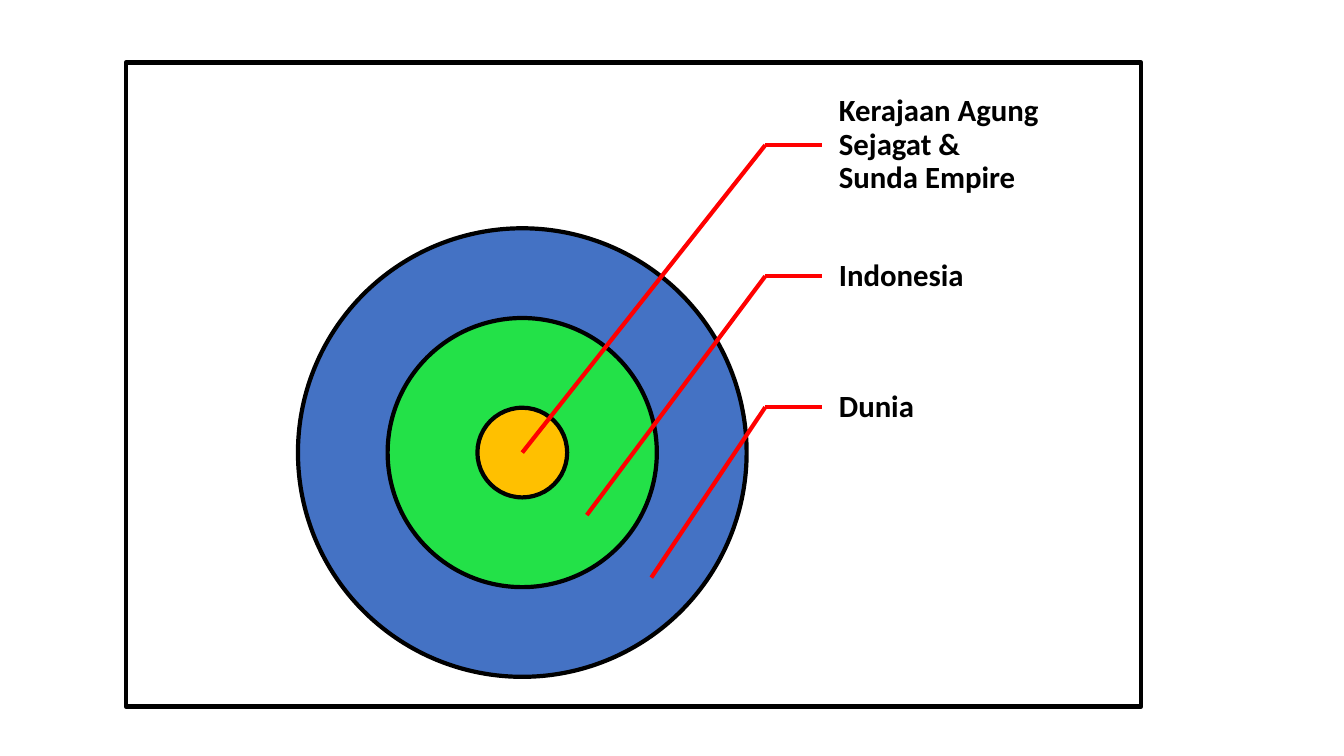
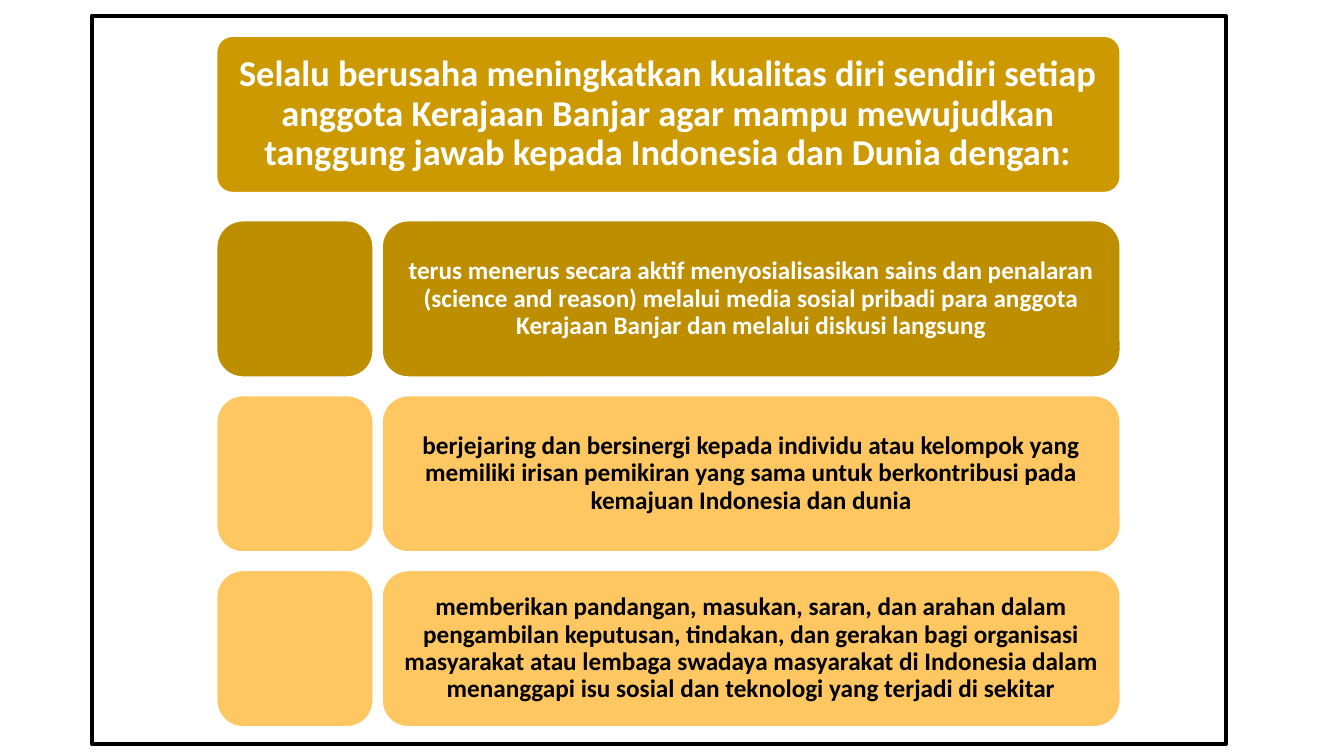
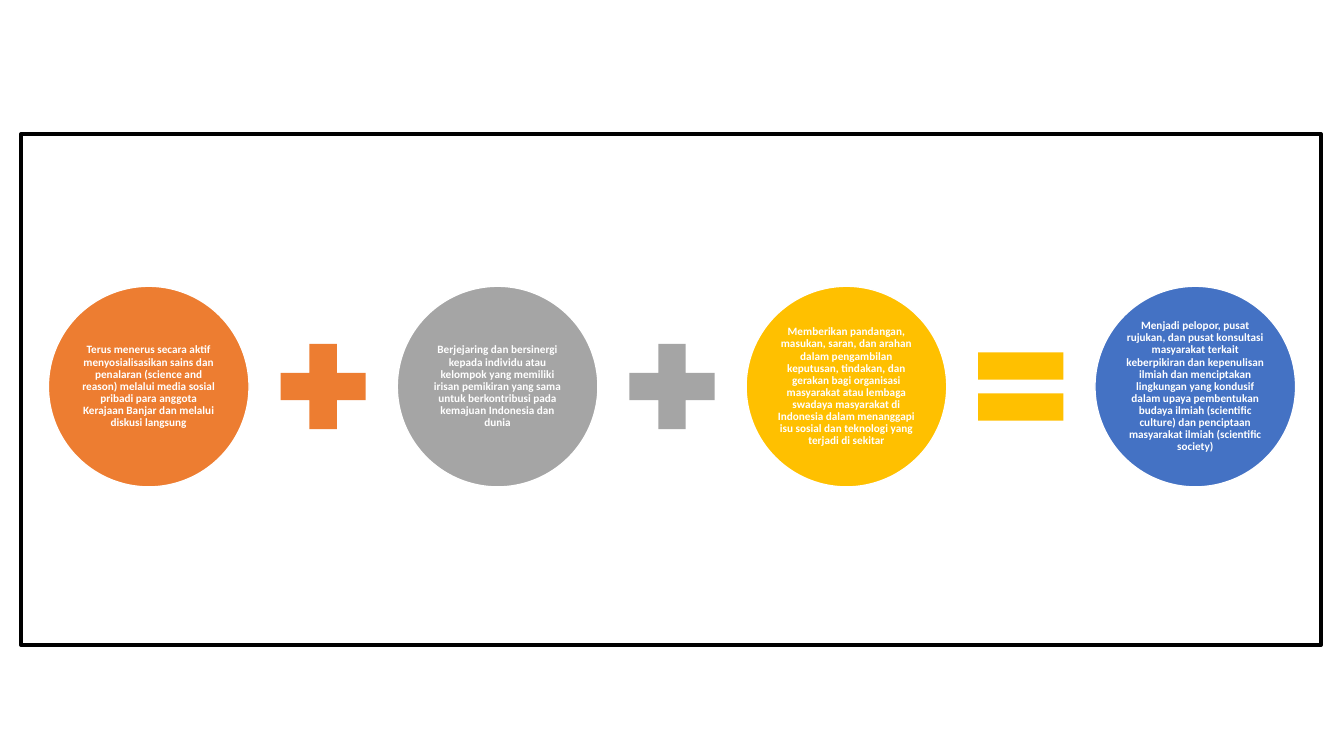
from lxml import etree
from pptx import Presentation
from pptx import util as u
from pptx.dml.color import RGBColor
from pptx.enum import shapes, text
from pptx.oxml.ns import qn

BLACK = RGBColor(0x00, 0x00, 0x00)
WHITE = RGBColor(0xFF, 0xFF, 0xFF)
RED = RGBColor(0xFF, 0x00, 0x00)
BLUE = RGBColor(0x44, 0x72, 0xC4)
GREEN = RGBColor(0x23, 0xE1, 0x48)
AMBER = RGBColor(0xFF, 0xC0, 0x00)
ORANGE = RGBColor(0xED, 0x7D, 0x31)
GRAY = RGBColor(0xA5, 0xA5, 0xA5)
GOLD = RGBColor(0xCC, 0x9A, 0x00)
DARK_GOLD = RGBColor(0xBD, 0x8E, 0x00)
LIGHT_GOLD = RGBColor(0xFF, 0xC7, 0x62)
FONT = "Calibri"
SHAPE = shapes.MSO_SHAPE
ALIGN = text.PP_ALIGN

RINGS = [(5, BLUE), (3, GREEN), (1, AMBER)]
LABELS = ["Kerajaan Agung Sejagat & Sunda Empire", "Indonesia", "Dunia"]

HEADING = ("Selalu berusaha meningkatkan kualitas diri sendiri setiap anggota Kerajaan Banjar "
           "agar mampu mewujudkan tanggung jawab kepada Indonesia dan Dunia dengan:")
ACTIONS = [
    "terus menerus secara aktif menyosialisasikan sains dan penalaran (science and reason) "
    "melalui media sosial pribadi para anggota Kerajaan Banjar dan melalui diskusi langsung",
    "berjejaring dan bersinergi kepada individu atau kelompok yang memiliki irisan pemikiran "
    "yang sama untuk berkontribusi pada kemajuan Indonesia dan dunia",
    "memberikan pandangan, masukan, saran, dan arahan dalam pengambilan keputusan, tindakan, "
    "dan gerakan bagi organisasi masyarakat atau lembaga swadaya masyarakat di Indonesia dalam "
    "menanggapi isu sosial dan teknologi yang terjadi di sekitar",
]
ROW_COLORS = [(DARK_GOLD, WHITE), (LIGHT_GOLD, BLACK), (LIGHT_GOLD, BLACK)]

GOAL = ("Menjadi pelopor, pusat rujukan, dan pusat konsultasi masyarakat terkait keberpikiran "
        "dan kepenulisan ilmiah dan menciptakan lingkungan yang kondusif dalam upaya pembentukan "
        "budaya ilmiah (scientific culture) dan penciptaan masyarakat ilmiah (scientific society)")
TERMS = [a[0].upper() + a[1:] for a in ACTIONS] + [GOAL]
TERM_COLORS = [ORANGE, GRAY, AMBER, BLUE]
OPERATORS = [SHAPE.MATH_PLUS, SHAPE.MATH_PLUS, SHAPE.MATH_EQUAL]


def inches(*values):
    return [u.Inches(v) for v in values]


def put_text(sp, words, size, color, insets, align=ALIGN.CENTER):
    tf = sp.text_frame
    names = ("margin_left", "margin_top", "margin_right", "margin_bottom")
    frame_format = dict(zip(names, inches(*insets)), word_wrap=True,
                        vertical_anchor=text.MSO_ANCHOR.MIDDLE)
    for name, value in frame_format.items():
        setattr(tf, name, value)
    p = tf.paragraphs[0]
    p.alignment, p.line_spacing = align, 0.9
    r = p.add_run()
    r.text = words
    for name, value in {"name": FONT, "size": u.Pt(size), "bold": True}.items():
        setattr(r.font, name, value)
    r.font.color.rgb = color


def add_shape(s, kind, box, fill=None, line=None, width=1, adj=None):
    sp = s.shapes.add_shape(kind, *inches(*box))
    sp.shadow.inherit = False
    for part, color in ((sp.fill, fill), (sp.line.fill, line)):
        if color is None:
            part.background()
        else:
            part.solid()
            part.fore_color.rgb = color
    if line is not None:
        sp.line.width = u.Pt(width)
    if adj is not None:
        sp.adjustments[0] = adj
    return sp


def add_frame(s, box):
    add_shape(s, SHAPE.RECTANGLE, box, line=BLACK, width=3)


def add_leader(s, start, end):
    c = s.shapes.add_connector(shapes.MSO_CONNECTOR.STRAIGHT, *inches(*start, *end))
    c.line.color.rgb = RED
    c.line.width = u.Pt(3)
    etree.SubElement(c._element.spPr, qn("a:effectLst"))


def build_rings(s):
    add_frame(s, (1.25, 0.62, 10.07, 6.39))
    cx, cy, unit = 5.18, 4.49, 0.89
    for scale, color in RINGS:
        d = unit * scale
        add_shape(s, SHAPE.OVAL, (cx - d / 2, cy - d / 2, d, d), color, BLACK, 3)
    bend, label_left, label_height = 7.59, 8.15, 1.3
    for i, label in enumerate(LABELS):
        y = 1.44 + label_height * i
        tb = s.shapes.add_textbox(*inches(label_left, y - label_height / 2, 2.22, label_height))
        put_text(tb, label, 22, BLACK, (0.17, 0.03, 0.03, 0.03), ALIGN.LEFT)
        add_leader(s, (bend, y), (label_left, y))
        add_leader(s, (bend, y), (cx + 0.64 * i, cy + 0.62 * i))


def build_actions(s):
    left, width, size, gap = 2.15, 8.96, 1.55, 0.09
    sp = add_shape(s, SHAPE.ROUNDED_RECTANGLE, (left, 0.36, width, size), GOLD, WHITE, adj=0.1)
    put_text(sp, HEADING, 26, WHITE, (0.05, 0.04, 0.05, 0.04))
    for i, (words, (fill, color)) in enumerate(zip(ACTIONS, ROW_COLORS)):
        y = 2.19 + 1.735 * i
        offset = size + gap
        for x, w in ((left, size), (left + offset, width - offset)):
            sp = add_shape(s, SHAPE.ROUNDED_RECTANGLE, (x, y, w, size), fill, WHITE, adj=0.167)
        put_text(sp, words, 18, color, (0.14,) * 4)
    add_frame(s, (0.91, 0.16, 11.25, 7.22))


def build_equation(s):
    left, middle, circle, sign, gap = 0.48, 3.835, 1.99, 1.15, 0.16
    pitch = circle + sign + 2 * gap
    for i, (words, color) in enumerate(zip(TERMS, TERM_COLORS)):
        x = left + pitch * i
        sp = add_shape(s, SHAPE.OVAL, (x, middle - circle / 2, circle, circle), color, WHITE)
        put_text(sp, words, 8, WHITE, (0.01,) * 4)
        if i < len(OPERATORS):
            add_shape(s, OPERATORS[i],
                      (x + circle + gap, middle - sign / 2, sign, sign), color)
    add_frame(s, (0.21, 1.33, 12.89, 5.07))


def main():
    prs = Presentation()
    prs.slide_width, prs.slide_height = inches(13.33, 7.5)
    blank = prs.slide_layouts[6]
    for build in (build_rings, build_actions, build_equation):
        build(prs.slides.add_slide(blank))
    prs.save("out.pptx")


if __name__ == "__main__":
    main()
